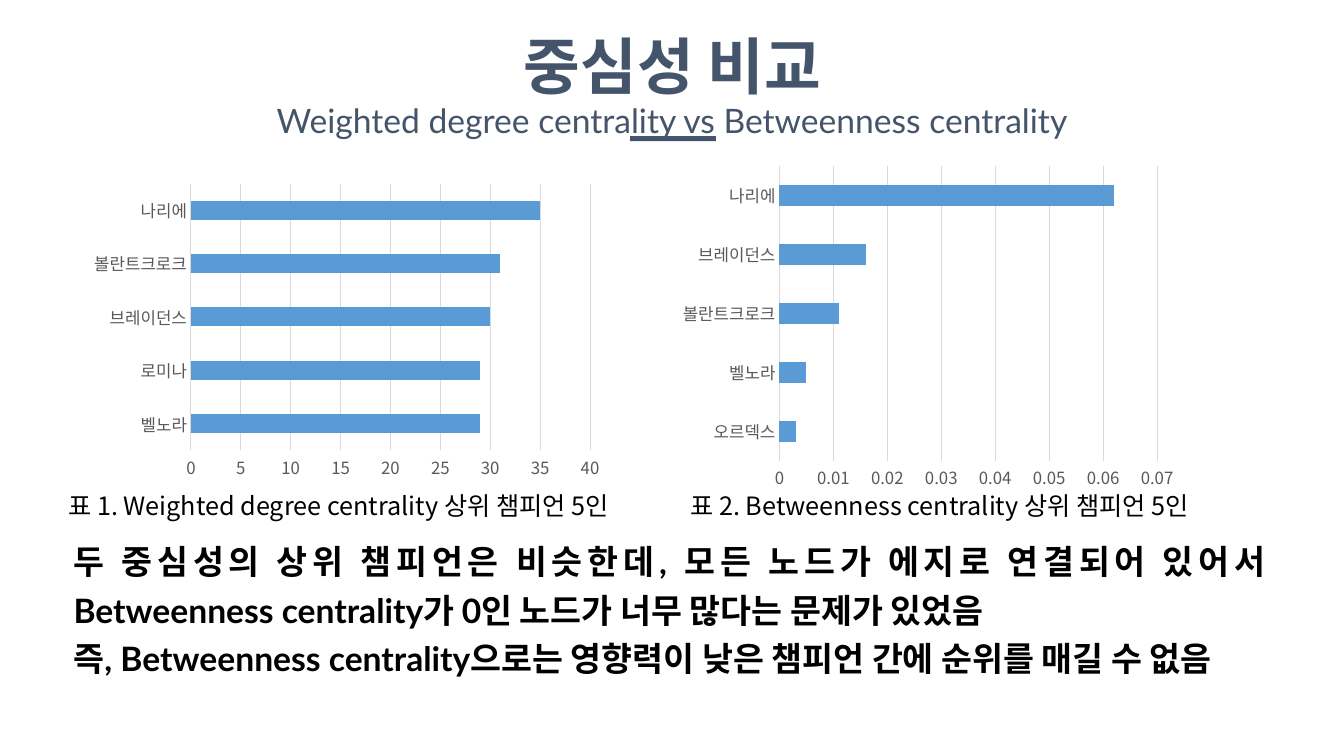
"""Builds a slide comparing two centrality rankings with bar charts."""
from lxml.etree import SubElement
from pptx import Presentation
from pptx.chart.data import CategoryChartData
from pptx.dml.color import RGBColor
from pptx.enum.chart import XL_CHART_TYPE as CT, XL_TICK_MARK as TM
from pptx.enum.shapes import MSO_SHAPE as MS
from pptx.enum.text import PP_ALIGN as AL
from pptx.oxml.ns import qn
from pptx.util import Inches, Pt

SLATE = RGBColor(0x44, 0x54, 0x6A)
BLACK = RGBColor(0, 0, 0)
GRAY = RGBColor(0x59, 0x59, 0x59)
GRID = RGBColor(0xD9, 0xD9, 0xD9)
BLUE = RGBColor(0x5B, 0x9B, 0xD5)
LATIN, KOREAN = "Lato", "Noto Sans CJK KR"

TITLE = "중심성 비교"
SUBTITLE = "Weighted degree centrality vs Betweenness centrality"
FINDINGS = [
    "두 중심성의 상위 챔피언은 비슷한데, 모든 노드가 에지로 연결되어 있어서 "
    "Betweenness centrality가 0인 노드가 너무 많다는 문제가 있었음",
    "즉, Betweenness centrality으로는 영향력이 낮은 챔피언 간에 순위를 매길 수 없음",
]
RANKINGS = [
    {"box": (0.83, 1.76, 5.22, 3.06), "max": 40, "step": 5,
     "scores": {"벨노라": 29, "로미나": 29, "브레이던스": 30, "볼란트크로크": 31, "나리에": 35},
     "caption": "표 1. Weighted degree centrality 상위 챔피언 5인", "caption_left": 0.58},
    {"box": (6.67, 1.58, 5.07, 3.35), "max": 0.07, "step": 0.01,
     "scores": {"오르덱스": 0.003, "벨노라": 0.005, "볼란트크로크": 0.011,
                "브레이던스": 0.016, "나리에": 0.062},
     "caption": "표 2. Betweenness centrality 상위 챔피언 5인", "caption_left": 6.75},
]


def add_text(slide, box, lines, size, color, font=LATIN, bold=False, align=AL.LEFT,
             insets=(0.1, 0.05, 0.1, 0.05), spacing=None, before=None):
    tf = slide.shapes.add_textbox(*map(Inches, box)).text_frame
    tf.word_wrap = True
    tf.margin_left, tf.margin_top, tf.margin_right, tf.margin_bottom = map(Inches, insets)
    for i, line in enumerate(lines):
        p = tf.add_paragraph() if i else tf.paragraphs[0]
        p.text = line
        p.alignment, p.line_spacing, p.space_before = align, spacing, before
        f = p.runs[0].font
        f.name, f.size, f.bold, f.color.rgb = font, Pt(size), bold, color
        SubElement(f._element, qn("a:ea")).set("typeface", KOREAN)


def style_font(font, size, color):
    font.name, font.size, font.bold, font.color.rgb = KOREAN, Pt(size), False, color


def add_ranking(slide, ranking):
    data = CategoryChartData()
    data.categories = list(ranking["scores"])
    data.add_series("Series 1", list(ranking["scores"].values()))
    chart = slide.shapes.add_chart(
        CT.BAR_CLUSTERED, *map(Inches, ranking["box"]), data).chart
    chart.has_legend = chart.has_title = False
    style_font(chart.font, 10, BLACK)
    plot = chart.plots[0]
    plot.gap_width, plot.vary_by_categories = 182, False
    fill = plot.series[0].format.fill
    fill.solid()
    fill.fore_color.rgb = BLUE
    cat, val = chart.category_axis, chart.value_axis
    for axis in (cat, val):
        axis.major_tick_mark = axis.minor_tick_mark = TM.NONE
        style_font(axis.tick_labels.font, 12, GRAY)
    val.minimum_scale, val.maximum_scale = 0, ranking["max"]
    val.major_unit = ranking["step"]
    val.has_major_gridlines = True
    val.format.line.fill.background()
    for line in (cat.format.line, val.major_gridlines.format.line):
        line.color.rgb, line.width = GRID, Pt(0.75)


def main():
    prs = Presentation()
    prs.slide_width, prs.slide_height = Inches(13.33), Inches(7.5)
    slide = prs.slides.add_slide(prs.slide_layouts[6])
    add_text(slide, (3.29, 0.26, 6.76, 0.79), [TITLE], 44, SLATE, bold=True,
             align=AL.CENTER, insets=(0.05, 0.02, 0.05, 0.02))
    rule = slide.shapes.add_shape(MS.RECTANGLE, *map(Inches, (6.25, 1.35, 0.85, 0.05)))
    rule.shadow.inherit = False
    rule.fill.solid()
    rule.fill.fore_color.rgb = SLATE
    rule.line.fill.background()
    add_text(slide, (0.29, 0.79, 12.75, 0.92), [SUBTITLE], 24, SLATE, align=AL.CENTER,
             insets=(0.24, 0.12, 0.24, 0.12), spacing=1.2, before=Pt(4.8))
    add_text(slide, (0.6, 5.22, 12.16, 2.4), FINDINGS, 24, BLACK, bold=True,
             align=AL.JUSTIFY, insets=(0.13, 0.07, 0.21, 0.05), spacing=1.2)
    for ranking in RANKINGS:
        add_ranking(slide, ranking)
        add_text(slide, (ranking["caption_left"], 4.82, 5.94, 0.4),
                 [ranking["caption"]], 18, BLACK, font=KOREAN)
    prs.save("out.pptx")


if __name__ == "__main__":
    main()
